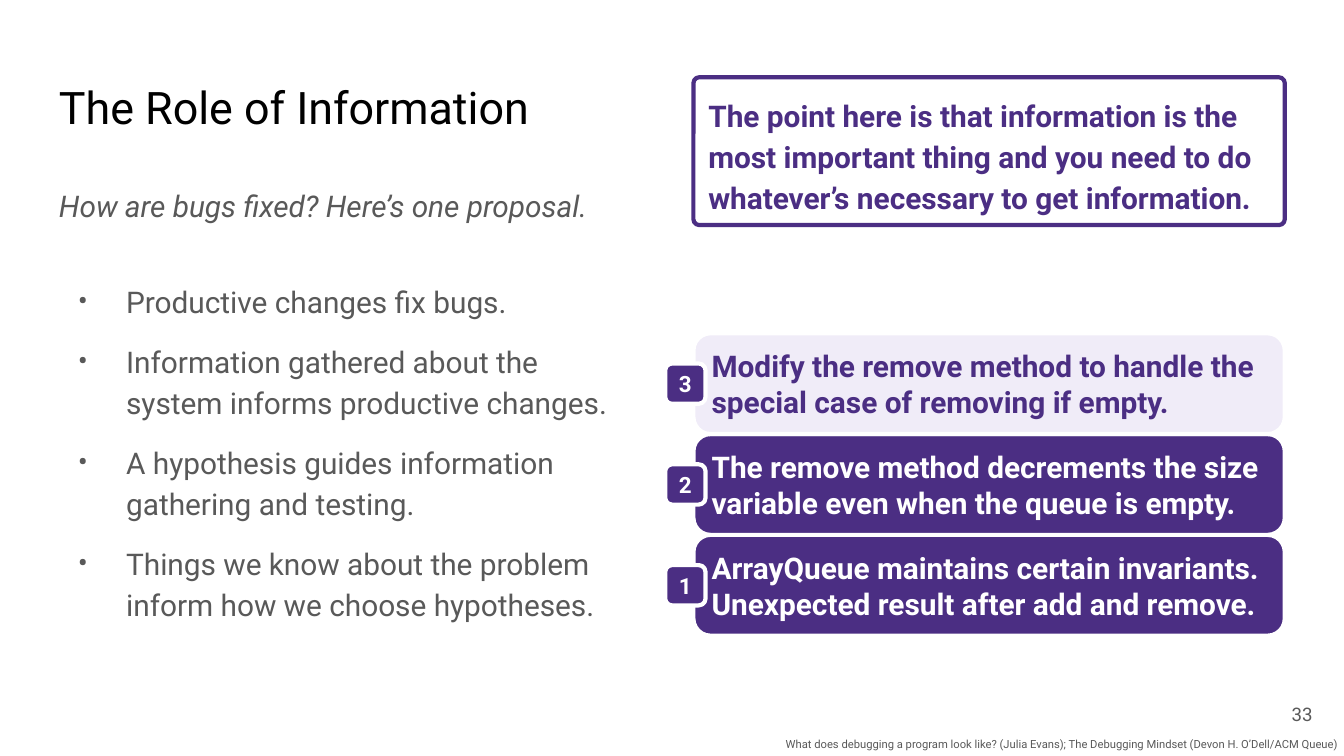
from dataclasses import dataclass
from typing import NamedTuple

from lxml.etree import SubElement
from pptx import Presentation
from pptx.dml.color import RGBColor
from pptx.enum.shapes import MSO_SHAPE as Shape
from pptx.enum.text import MSO_ANCHOR as Anchor, PP_ALIGN as Align
from pptx.oxml.ns import qn
from pptx.util import Emu, Pt

PX = 4572  # 200 px to the inch


@dataclass(frozen=True)
class Theme:
    font: str = "Roboto"
    ink: str = "000000"
    grey: str = "595959"
    purple: str = "4B2E83"
    lilac: str = "F0ECF8"
    white: str = "FFFFFF"
    title: int = 24
    body: int = 16
    badge: int = 12
    number: int = 10
    credit: int = 6
    outline: float = 2.25


THEME = Theme()


class Box(NamedTuple):
    left: int
    top: int
    width: int
    height: int

    def emu(self):
        return [Emu(length * PX) for length in self]


def set_up_frame(frame, inset=20, anchor=Anchor.TOP):
    frame.word_wrap = True
    frame.vertical_anchor = anchor
    frame.margin_left = frame.margin_right = Emu(inset * PX)
    frame.margin_top = frame.margin_bottom = Emu(inset * PX)
    return frame


def add_frame(slide, box, inset=20, anchor=Anchor.TOP):
    return set_up_frame(slide.shapes.add_textbox(*box.emu()).text_frame, inset, anchor)


def write(paragraph, words, size, color, bold=False, italic=False, align=Align.LEFT):
    paragraph.alignment = align
    run = paragraph.add_run()
    run.text = words
    font = run.font
    font.name, font.size = THEME.font, Pt(size)
    font.bold, font.italic = bold, italic
    font.color.rgb = RGBColor.from_string(color)


def add_bullet(paragraph, color):
    props = paragraph._p.get_or_add_pPr()
    props.set("marL", str(100 * PX))
    props.set("indent", str(-72 * PX))
    SubElement(SubElement(props, qn("a:buClr")), qn("a:srgbClr")).set("val", color)
    SubElement(props, qn("a:buFont")).set("typeface", THEME.font)
    SubElement(props, qn("a:buChar")).set("char", "•")


def add_panel(slide, box, fill, line, rounding, inset=20, anchor=Anchor.MIDDLE):
    """Draw an outlined rounded rectangle and return its text frame."""
    panel = slide.shapes.add_shape(Shape.ROUNDED_RECTANGLE, *box.emu())
    panel.adjustments[0] = rounding
    panel.shadow.inherit = False
    panel.fill.solid()
    panel.fill.fore_color.rgb = RGBColor.from_string(fill)
    panel.line.color.rgb = RGBColor.from_string(line)
    panel.line.width = Pt(THEME.outline)
    return set_up_frame(panel.text_frame, inset, anchor)


def add_title(slide, box, words):
    write(add_frame(slide, box).paragraphs[0], words, THEME.title, THEME.ink)


def add_proposal(slide, box, question, claims):
    frame = add_frame(slide, box)
    lead = frame.paragraphs[0]
    lead.line_spacing = 1.15
    lead.space_after = Pt(19.3)
    write(lead, question, THEME.body, THEME.grey, italic=True)
    for claim in claims:
        paragraph = frame.add_paragraph()
        paragraph.line_spacing = 1.15
        paragraph.space_before = Pt(10)
        add_bullet(paragraph, THEME.grey)
        write(paragraph, claim, THEME.body, THEME.grey)


def add_callout(slide, box, words):
    frame = add_panel(slide, box, THEME.white, THEME.purple, 0.04, anchor=Anchor.TOP)
    paragraph = frame.paragraphs[0]
    paragraph.line_spacing = 1.15
    write(paragraph, words, THEME.body, THEME.purple, bold=True)


def add_step(slide, box, number, lines, fill, color):
    """Draw a card with its number badge over the left edge."""
    frame = add_panel(slide, box, fill, THEME.white, 0.17)
    for index, line in enumerate(lines):
        paragraph = frame.add_paragraph() if index else frame.paragraphs[0]
        write(paragraph, line, THEME.body, color, bold=True)
    side = 60
    badge = Box(box.left - 42, box.top + (box.height - side) // 2, side, side)
    label = add_panel(slide, badge, THEME.purple, THEME.white, 0.17, inset=0)
    write(label.paragraphs[0], str(number), THEME.badge, THEME.white,
          bold=True, align=Align.CENTER)


def add_steps(slide, box, steps):
    """Stack the steps upwards, the first one at the bottom."""
    height = box.height // len(steps)
    for number, (lines, fill, color) in enumerate(steps, 1):
        top = box.top + box.height - number * height
        add_step(slide, Box(box.left, top, box.width, height), number, lines, fill, color)


def add_footer(slide, box, number, credit):
    number_box = Box(box.left + box.width - 147, box.top, 120, 86)
    credit_box = Box(box.left, box.top + 67, box.width, 40)
    number_frame = add_frame(slide, number_box, anchor=Anchor.MIDDLE)
    write(number_frame.paragraphs[0], number, THEME.number, THEME.grey, align=Align.RIGHT)
    credit_frame = add_frame(slide, credit_box, inset=10)
    write(credit_frame.paragraphs[0], credit, THEME.credit, THEME.grey, align=Align.RIGHT)


def main():
    deck = Presentation()
    deck.slide_width, deck.slide_height = Emu(2000 * PX), Emu(1125 * PX)
    slide = deck.slides.add_slide(deck.slide_layouts[6])

    add_title(slide, Box(68, 98, 864, 126), "The Role of Information")
    add_proposal(slide, Box(68, 252, 864, 748), "How are bugs fixed? Here’s one proposal.", [
        "Productive changes fix bugs.",
        "Information gathered about the system informs productive changes.",
        "A hypothesis guides information gathering and testing.",
        "Things we know about the problem inform how we choose hypotheses.",
    ])
    add_steps(slide, Box(1032, 496, 880, 450), [
        (["ArrayQueue maintains certain invariants.",
          "Unexpected result after add and remove."], THEME.purple, THEME.white),
        (["The remove method decrements the size variable even when the queue is empty."],
         THEME.purple, THEME.white),
        (["Modify the remove method to handle the special case of removing if empty."],
         THEME.lilac, THEME.purple),
    ])
    add_callout(slide, Box(1032, 115, 880, 220),
                "The point here is that information is the most important thing "
                "and you need to do whatever’s necessary to get information.")
    add_footer(slide, Box(0, 1020, 2000, 105), "33",
               "What does debugging a program look like? (Julia Evans); "
               "The Debugging Mindset (Devon H. O’Dell/ACM Queue)")
    deck.save("out.pptx")


if __name__ == "__main__":
    main()
